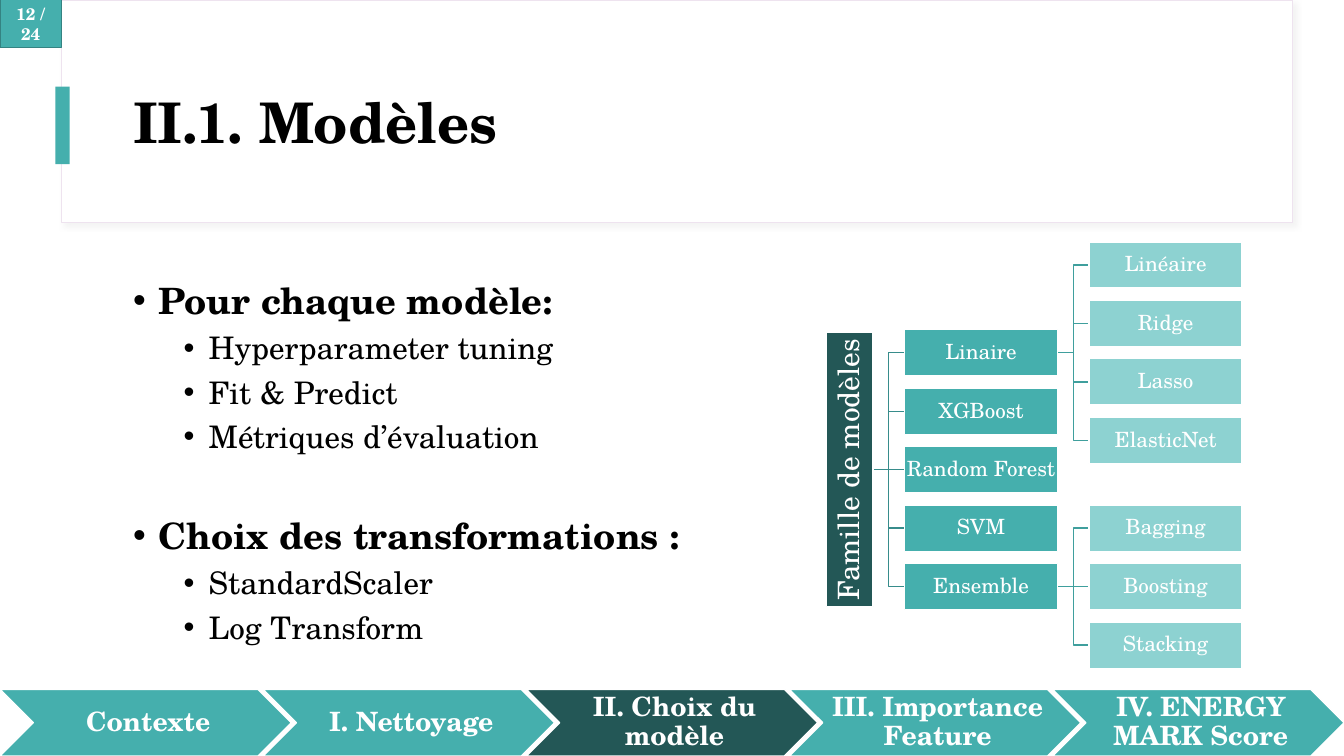
from lxml import etree
from pptx import Presentation
from pptx import util as u
from pptx.dml.color import RGBColor
from pptx.enum import shapes, text
from pptx.oxml.ns import qn

FONT = "TeX Gyre Schola"
TEAL, DARK, LIGHT, WHITE = "45AFAD", "235756", "8DD2D1", "FFFFFF"
FAMILY_LINK, MODEL_LINK = "378C8B", "3F9F9D"
ROW_STEP, NODE_HEIGHT, NODE_WIDTH = 0.58, 0.46, 1.52


def colour(value):
    return RGBColor.from_string(value)


class Deck:
    def __init__(self):
        self.prs = Presentation()
        self.prs.slide_width = u.Inches(13.33)
        self.prs.slide_height = u.Inches(7.5)
        self.slide = self.prs.slides.add_slide(self.prs.slide_layouts[1])

    def send_back(self, shape):
        self.slide.shapes._spTree.insert(2, shape._element)

    def style(self, paragraph, size, ink, bold=False, align=text.PP_ALIGN.LEFT, spacing=0.9):
        paragraph.alignment = align
        paragraph.line_spacing = spacing
        font = paragraph.font
        font.name, font.size, font.bold = FONT, u.Pt(size), bold
        font.color.rgb = colour(ink)

    def place(self, shape, left, top, width, height):
        shape.left, shape.top = u.Inches(left), u.Inches(top)
        shape.width, shape.height = u.Inches(width), u.Inches(height)

    def shape(self, left, top, width, height, fill, line=None, line_width=1,
              kind=shapes.MSO_SHAPE.RECTANGLE):
        block = self.slide.shapes.add_shape(
            kind, u.Inches(left), u.Inches(top), u.Inches(width), u.Inches(height))
        block.shadow.inherit = False
        block.fill.solid()
        block.fill.fore_color.rgb = colour(fill)
        if line:
            block.line.color.rgb = colour(line)
            block.line.width = u.Pt(line_width)
        else:
            block.line.fill.background()
        return block

    def label(self, block, words, size, bold=False, insets=(0.01, 0.01, 0.01, 0.01), spacing=0.9):
        frame = block.text_frame
        frame.word_wrap = True
        frame.vertical_anchor = text.MSO_ANCHOR.MIDDLE
        frame.margin_left, frame.margin_top, frame.margin_right, frame.margin_bottom = map(
            u.Inches, insets)
        frame.text = words
        self.style(frame.paragraphs[0], size, WHITE, bold, text.PP_ALIGN.CENTER, spacing)

    def node(self, left, middle, words, fill):
        block = self.shape(left, middle - NODE_HEIGHT / 2, NODE_WIDTH, NODE_HEIGHT, fill, WHITE)
        self.label(block, words, 15)
        return block

    def link(self, parent, child, ink, straight):
        kind = shapes.MSO_CONNECTOR.STRAIGHT if straight else shapes.MSO_CONNECTOR.ELBOW
        branch = self.slide.shapes.add_connector(kind, 0, 0, 0, 0)
        branch.begin_connect(parent, 3)
        branch.end_connect(child, 1)
        branch.line.color.rgb = colour(ink)
        branch.line.width = u.Pt(1)
        etree.SubElement(branch._element.spPr, qn("a:effectLst"))
        self.send_back(branch)

    def branches(self, parent, left, middle, names, fill, ink):
        nodes = []
        for i, name in enumerate(names):
            offset = i - (len(names) - 1) / 2
            y = middle + offset * ROW_STEP
            child = self.node(left, y, name, fill)
            self.link(parent, child, ink, offset == 0)
            nodes.append((child, y))
        return nodes

    def soft_shadow(self, block, ink):
        effects = block._element.spPr.find(qn("a:effectLst"))
        shadow = etree.SubElement(effects, qn("a:outerShdw"), blurRad=str(u.Pt(4)),
                                  dist=str(u.Pt(3)), dir="2700000")
        tint = etree.SubElement(shadow, qn("a:srgbClr"), val=ink)
        etree.SubElement(tint, qn("a:alpha"), val="30000")

    def title(self, words):
        heading = self.slide.shapes.title
        self.place(heading, 1.22, 0.6, 11.12, 1.29)
        heading.text_frame.text = words
        heading.text_frame.vertical_anchor = text.MSO_ANCHOR.MIDDLE
        heading.text_frame.auto_size = text.MSO_AUTO_SIZE.NONE
        self.style(heading.text_frame.paragraphs[0], 40, "000000", True)

    def bullets(self, sections):
        body = self.slide.placeholders[1]
        self.place(body, 1.22, 2.71, 6.28, 3.83)
        frame = body.text_frame
        frame.auto_size = text.MSO_AUTO_SIZE.NONE
        lines = [(level, words) for head, points in sections
                 for level, words in [(0, head)] + [(1, point) for point in points]]
        frame.text = "\n".join(words for _, words in lines)
        for i, (paragraph, (level, _)) in enumerate(zip(frame.paragraphs, lines)):
            paragraph.level = level
            self.style(paragraph, 22.2 if level else 25.9, "000000", not level, spacing=1.0)
            paragraph.space_before = u.Pt(5 if level else 42 if i else 10)
            props = paragraph._p.get_or_add_pPr()
            props.set("marL", str(u.Inches(0.75 if level else 0.25)))
            props.set("indent", str(u.Inches(-0.25)))
            bullet_font = etree.Element(qn("a:buFont"), typeface="Arial")
            bullet = etree.Element(qn("a:buChar"), char="•")
            run_props = props.find(qn("a:defRPr"))
            run_props.addprevious(bullet_font)
            run_props.addprevious(bullet)


def main():
    deck = Deck()
    deck.title("II.1. Modèles")
    deck.bullets([
        ("Pour chaque modèle:", ["Hyperparameter tuning", "Fit & Predict", "Métriques d’évaluation"]),
        ("Choix des transformations :", ["StandardScaler", "Log Transform"]),
    ])

    families = {
        "Linaire": ["Linéaire", "Ridge", "Lasso", "ElasticNet"],
        "XGBoost": [],
        "Random Forest": [],
        "SVM": [],
        "Ensemble": ["Bagging", "Boosting", "Stacking"],
    }
    root = deck.shape(8.2, 3.3, NODE_HEIGHT, 2.72, DARK, WHITE)
    deck.label(root, "Famille de modèles", 21)
    root.text_frame._txBody.bodyPr.set("vert", "vert270")
    family_nodes = deck.branches(root, 8.97, 4.66, list(families), TEAL, FAMILY_LINK)
    for (family, middle), models in zip(family_nodes, families.values()):
        deck.branches(family, 10.8, middle, models, LIGHT, MODEL_LINK)

    chapters = ["Contexte", "I. Nettoyage", "II. Choix du modèle",
                "III. Importance Feature", "IV. ENERGY MARK Score"]
    for i, chapter in enumerate(chapters):
        step = deck.shape(2.61 * i, 6.84, 2.89, 0.66, DARK if i == 2 else TEAL, WHITE,
                          kind=shapes.MSO_SHAPE.CHEVRON)
        deck.label(step, chapter, 19, True, (0.08, 0.03, 0.03, 0.03))

    page = deck.shape(0, 0, 0.61, 0.47, TEAL, "348382", 0.75)
    deck.label(page, "12 / 24", 12, True, (0.1, 0.05, 0.1, 0.05), 1.0)
    accent = deck.shape(0.55, 0.86, 0.14, 0.77, TEAL)
    header = deck.shape(0.61, 0, 12.21, 2.21, WHITE, "EEE3EF", 0.75)
    deck.soft_shadow(header, "D9D9D9")
    for backdrop in (page, accent, header):
        deck.send_back(backdrop)

    deck.prs.save("out.pptx")


if __name__ == "__main__":
    main()
